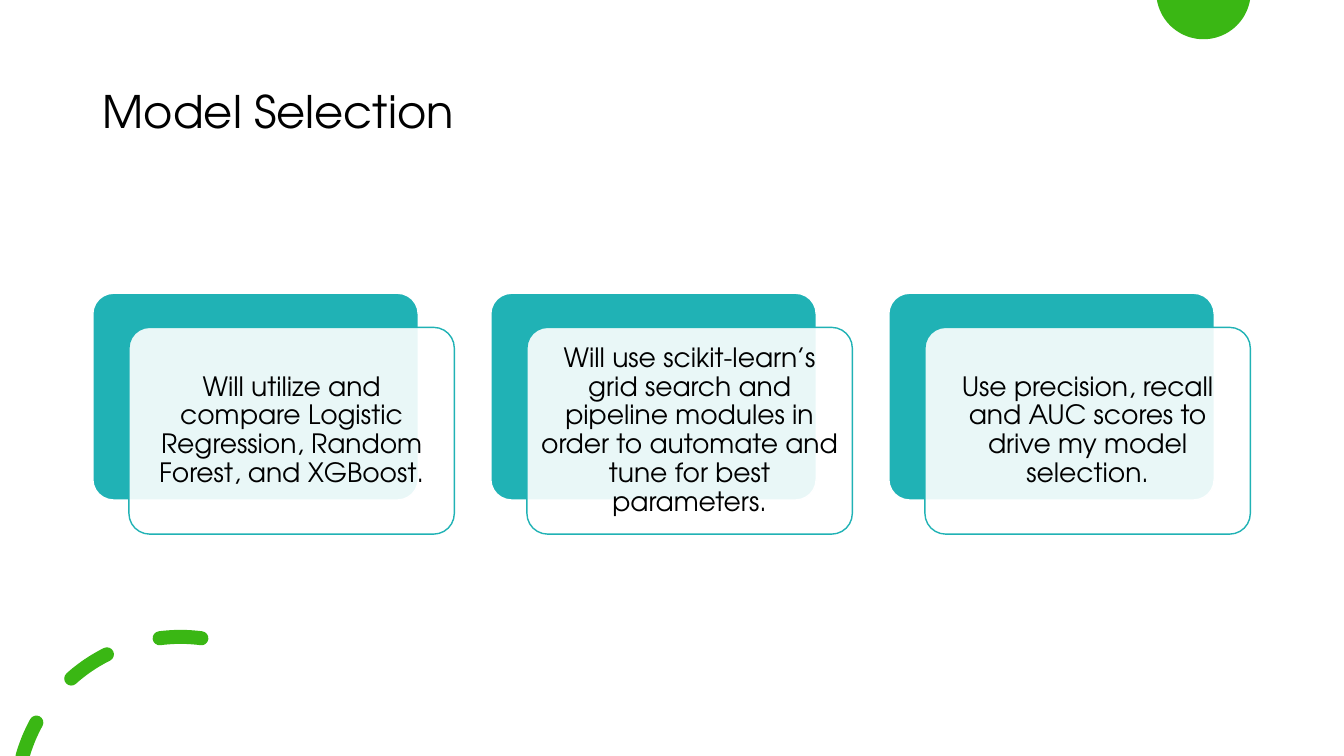
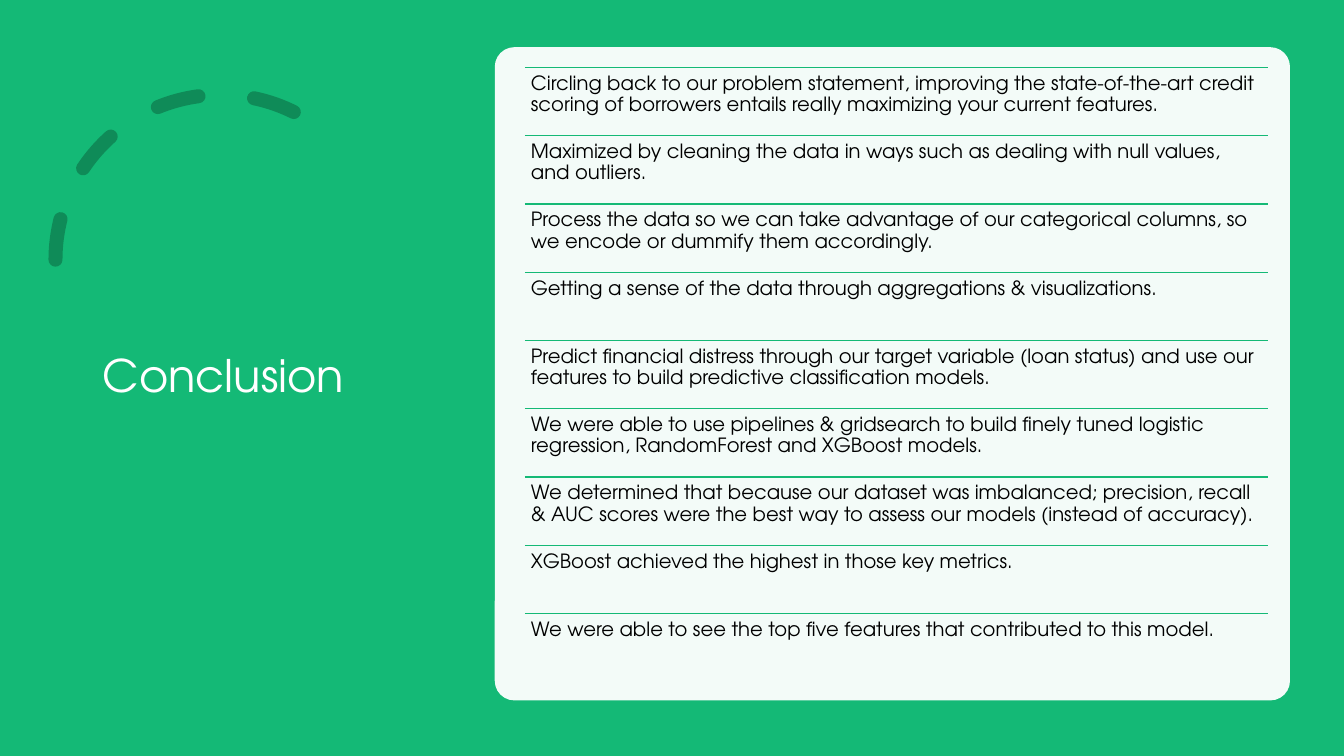
from math import asin, cos, pi, radians, sin

from lxml.etree import SubElement
from pptx import Presentation
from pptx.dml.color import RGBColor
from pptx.enum.dml import MSO_LINE
from pptx.enum.shapes import MSO_CONNECTOR, MSO_SHAPE
from pptx.enum.text import MSO_ANCHOR, MSO_AUTO_SIZE, PP_ALIGN
from pptx.oxml.ns import qn
from pptx.util import Cm, Pt

WHITE, BLACK = "FFFFFF", "000000"
GREEN, TEAL, EMERALD, DARK_GREEN = "3AB714", "20B2B5", "14B976", "0F8B58"
FONT = "TeX Gyre Adventor"


def paint(fill, color, alpha=100):
    fill.solid()
    fill.fore_color.rgb = RGBColor.from_string(color)
    if alpha < 100:
        clr = fill._xPr.find(qn("a:solidFill"))[0]
        SubElement(clr, qn("a:alpha")).set("val", str(alpha * 1000))


def write(tf, text, size, color, align, anchor, inset):
    margins = {f"margin_{side}": Cm(inset) for side in ("left", "right", "top", "bottom")}
    frame = {"word_wrap": True, "auto_size": MSO_AUTO_SIZE.NONE, "vertical_anchor": anchor}
    tf.text = text
    p = tf.paragraphs[0]
    formats = [
        (tf, {**frame, **margins}),
        (p, {"alignment": align, "line_spacing": 0.9}),
        (p.runs[0].font, {"name": FONT, "size": Pt(size)}),
    ]
    for target, values in formats:
        for name, value in values.items():
            setattr(target, name, value)
    paint(p.runs[0].font.fill, color)


prs = Presentation()
prs.slide_width, prs.slide_height = Cm(33.87), Cm(19.05)

titles = [
    ("Model Selection", WHITE, BLACK, (2.34, 1.02, 29.21, 3.68)),
    ("Conclusion", EMERALD, WHITE, (2.34, 1.78, 8.2, 15.47)),
]
slides = []
for text, background, color, box in titles:
    s = prs.slides.add_slide(prs.slide_layouts[5])
    paint(s.background.fill, background)
    title = s.shapes.title
    for name, value in zip(("left", "top", "width", "height"), box):
        setattr(title, name, Cm(value))
    write(title.text_frame, text, 32, color, PP_ALIGN.LEFT, MSO_ANCHOR.MIDDLE, 0.25)
    slides.append(s)
selection, conclusion = slides

edge = asin(0.2 / 1.19)
angles = [edge + (pi - 2 * edge) * i / 40 for i in range(41)]
pts = [(Cm(30.33 + 1.19 * cos(a)), Cm(1.19 * sin(a) - 0.2)) for a in angles]
fb = selection.shapes.build_freeform(*pts[0], scale=1.0)
fb.add_line_segments(pts[1:], close=True)
dot = fb.convert_to_shape()
dot.shadow.inherit = False
paint(dot.fill, GREEN)
dot.line.fill.background()

strokes = []
for start, end in [(-7.3, 7.3), (26.6, 41.7), (61.4, 74.4)]:
    angles = [radians(start + (end - start) * i / 12) for i in range(13)]
    pts = [(Cm(4.55 - 4.14 * sin(a)), Cm(20.19 - 4.14 * cos(a))) for a in angles]
    fb = selection.shapes.build_freeform(*pts[0], scale=1.0)
    fb.add_line_segments(pts[1:], close=False)
    strokes.append((fb.convert_to_shape(), GREEN))

arc = conclusion.shapes.add_shape(MSO_SHAPE.ARC, Cm(1.4), Cm(2.39), Cm(8.31), Cm(8.31))
arc.adjustments[0], arc.adjustments[1] = 146.13, 0
arc._element.spPr.find(qn("a:xfrm")).set("flipH", "1")
arc.line.dash_style = MSO_LINE.DASH
strokes.append((arc, DARK_GREEN))

for sp, color in strokes:
    sp.shadow.inherit = False
    sp.fill.background()
    paint(sp.line.fill, color)
    sp.line.width = Pt(10)
    sp._element.spPr.find(qn("a:ln")).set("cap", "rnd")

cards = [
    "Will utilize and compare Logistic Regression, Random Forest, and XGBoost.",
    "Will use scikit-learn’s grid search and pipeline modules in order to automate and tune for best parameters.",
    "Use precision, recall and AUC scores to drive my model selection.",
]
layers = [(0, 0, TEAL, 100, WHITE), (0.91, 0.86, WHITE, 90, TEAL)]
for i, text in enumerate(cards):
    for dx, dy, fill, alpha, line in layers:
        sp = selection.shapes.add_shape(
            MSO_SHAPE.ROUNDED_RECTANGLE, Cm(2.34 + 10.03 * i + dx), Cm(7.39 + dy), Cm(8.2), Cm(5.21))
        sp.adjustments[0] = 0.1
        sp.shadow.inherit = False
        paint(sp.fill, fill, alpha)
        paint(sp.line.fill, line)
        sp.line.width = Pt(1)
    write(sp.text_frame, text, 19, BLACK, PP_ALIGN.CENTER, MSO_ANCHOR.MIDDLE, 0.2)

panel = conclusion.shapes.add_shape(
    MSO_SHAPE.ROUNDED_RECTANGLE, Cm(12.47), Cm(1.19), Cm(20.04), Cm(16.46))
panel.adjustments[0] = 0.03
panel.shadow.inherit = False
paint(panel.fill, WHITE, 95)
panel.line.fill.background()

findings = [
    "Circling back to our problem statement, improving the state-of-the-art credit scoring of borrowers entails really maximizing your current features.",
    "Maximized by cleaning the data in ways such as dealing with null values, and outliers.",
    "Process the data so we can take advantage of our categorical columns, so we encode or dummify them accordingly.",
    "Getting a sense of the data through aggregations & visualizations.",
    "Predict financial distress through our target variable (loan status) and use our features to build predictive classification models.",
    "We were able to use pipelines & gridsearch to build finely tuned logistic regression, RandomForest and XGBoost models.",
    "We determined that because our dataset was imbalanced; precision, recall & AUC scores were the best way to assess our models (instead of accuracy).",
    "XGBoost achieved the highest in those key metrics.",
    "We were able to see the top five features that contributed to this model.",
]
left, width, row = Cm(13.23), Cm(18.72), 1.72
for i, text in enumerate(findings):
    top = Cm(1.7 + row * i)
    rule = conclusion.shapes.add_connector(MSO_CONNECTOR.STRAIGHT, left, top, left + width, top)
    paint(rule.line.fill, EMERALD)
    rule.line.width = Pt(1)
    SubElement(rule._element.spPr, qn("a:effectLst"))
    tb = conclusion.shapes.add_textbox(left, top, width, Cm(row))
    write(tb.text_frame, text, 14, BLACK, PP_ALIGN.LEFT, MSO_ANCHOR.TOP, 0.15)

prs.save("out.pptx")
